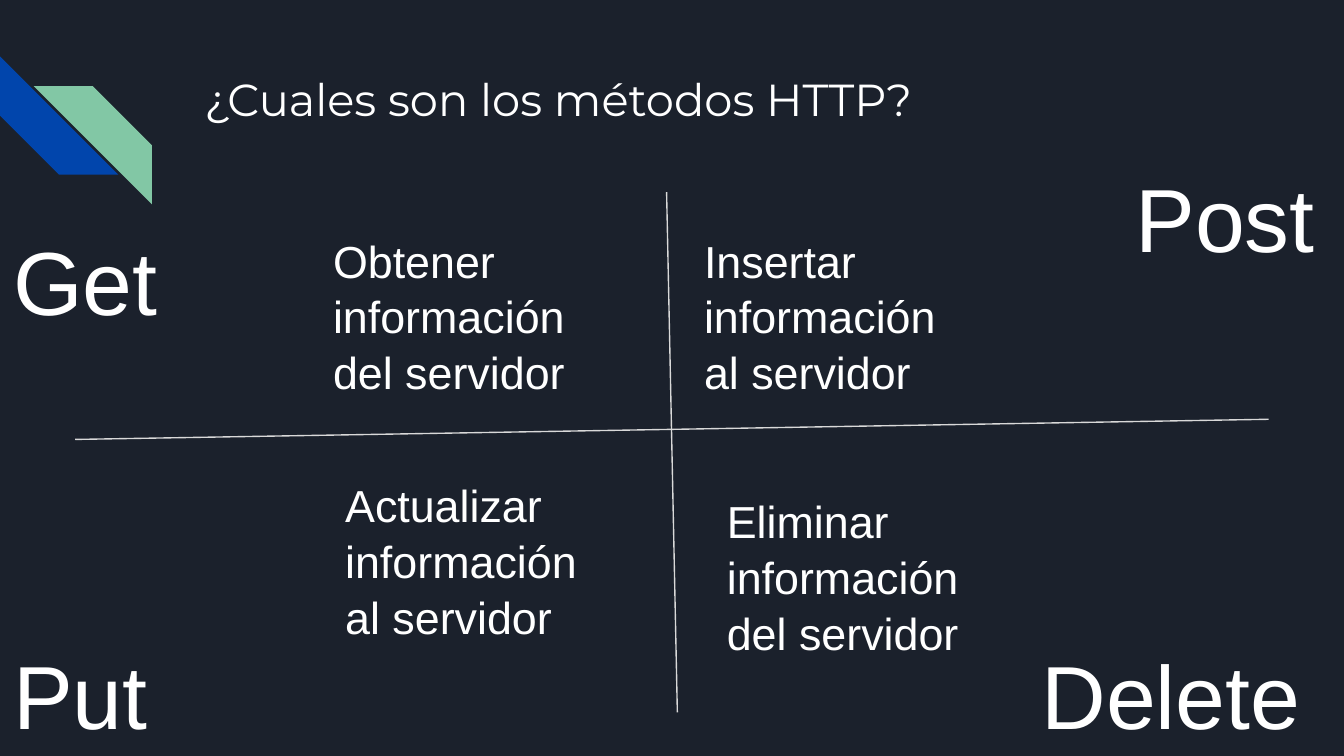
"""Build a slide that shows four HTTP methods in a hand-drawn quadrant."""
from dataclasses import dataclass

from lxml import etree
from pptx import Presentation
from pptx import util as u
from pptx.dml.color import RGBColor
from pptx.enum import shapes, text
from pptx.oxml.ns import qn

PX = 9144
COLORS = {
    "background": "1B212C",
    "text": "FFFFFF",
    "axis": "D9D9D9",
    "blue": "0145AC",
    "green": "82C7A5",
}


@dataclass
class Stripe:
    left: int
    top: int
    color: str
    rotation: int = 0
    flipped: bool = False


@dataclass
class Axis:
    x1: int
    y1: int
    x2: int
    y2: int


@dataclass
class Label:
    text: str
    left: int
    top: int
    width: int = 204
    size: int = 24


STRIPE_SIZE = 88
BOX_HEIGHT = 100
METHOD_SIZE = 48

STRIPES = [
    Stripe(0, 42, "blue", rotation=270),
    Stripe(25, 64, "green", flipped=True),
]
AXES = [Axis(496, 143, 504, 530), Axis(56, 327, 944, 312)]
LABELS = [
    Label("Get", 0, 155, 204, METHOD_SIZE),
    Label("Post", 835, 108, 165, METHOD_SIZE),
    Label("Put", 0, 463, 131, METHOD_SIZE),
    Label("Delete", 765, 463, 235, METHOD_SIZE),
    Label("Obtener información del servidor", 238, 162),
    Label("Insertar información al servidor", 514, 162),
    Label("Actualizar información al servidor", 247, 344),
    Label("Eliminar información\vdel servidor", 531, 356),
]


def px(*lengths: int) -> list[u.Emu]:
    """Turn px lengths into EMU."""
    return [u.Emu(length * PX) for length in lengths]


def rgb(name: str) -> RGBColor:
    """Look up a palette colour."""
    return RGBColor.from_string(COLORS[name])


def write(s, content: str, font: str, size: int, spacing: float) -> None:
    """Fill a text shape with one left-aligned paragraph."""
    tf = s.text_frame
    tf.word_wrap = True
    tf.auto_size = text.MSO_AUTO_SIZE.NONE
    tf.vertical_anchor = text.MSO_ANCHOR.TOP
    tf.margin_left, tf.margin_top, tf.margin_right, tf.margin_bottom = px(10, 10, 10, 10)
    p = tf.paragraphs[0]
    p.text = content
    p.alignment = text.PP_ALIGN.LEFT
    p.line_spacing = spacing
    p.font.name = font
    p.font.size = u.Pt(size)
    p.font.color.rgb = rgb("text")


def add_title(slide, content: str) -> None:
    """Place and format the title placeholder."""
    s = slide.shapes.title
    s.left, s.top, s.width, s.height = px(142, 43, 770, BOX_HEIGHT)
    write(s, content, "Montserrat", 24, 1.0)


def add_stripe(slide, stripe: Stripe) -> None:
    """Draw one diagonal corner stripe."""
    s = slide.shapes.add_shape(
        shapes.MSO_SHAPE.DIAGONAL_STRIPE,
        *px(stripe.left, stripe.top, STRIPE_SIZE, STRIPE_SIZE),
    )
    s.adjustments[0] = 0.5
    s.rotation = stripe.rotation
    s.shadow.inherit = False
    s.fill.solid()
    s.fill.fore_color.rgb = rgb(stripe.color)
    s.line.fill.background()
    if stripe.flipped:
        s.element.spPr.find(qn("a:xfrm")).set("flipH", "1")


def add_axis(slide, axis: Axis) -> None:
    """Draw one dividing line."""
    s = slide.shapes.add_connector(
        shapes.MSO_CONNECTOR.STRAIGHT, *px(axis.x1, axis.y1, axis.x2, axis.y2)
    )
    s.line.color.rgb = rgb("axis")
    s.line.width = u.Pt(0.75)
    etree.SubElement(s.element.spPr, qn("a:effectLst"))


def add_label(slide, label: Label) -> None:
    """Draw a method name or its description."""
    s = slide.shapes.add_textbox(*px(label.left, label.top, label.width, BOX_HEIGHT))
    write(s, label.text, "Arial", label.size, 1.04)


def main() -> None:
    """Build and save the presentation."""
    prs = Presentation()
    prs.slide_width, prs.slide_height = u.Inches(10), u.Inches(5.625)
    slide = prs.slides.add_slide(prs.slide_layouts.get_by_name("Title Only"))
    slide.background.fill.solid()
    slide.background.fill.fore_color.rgb = rgb("background")
    for stripe in STRIPES:
        add_stripe(slide, stripe)
    add_title(slide, "¿Cuales son los métodos HTTP?")
    for axis in AXES:
        add_axis(slide, axis)
    for label in LABELS:
        add_label(slide, label)
    prs.save("out.pptx")


if __name__ == "__main__":
    main()
